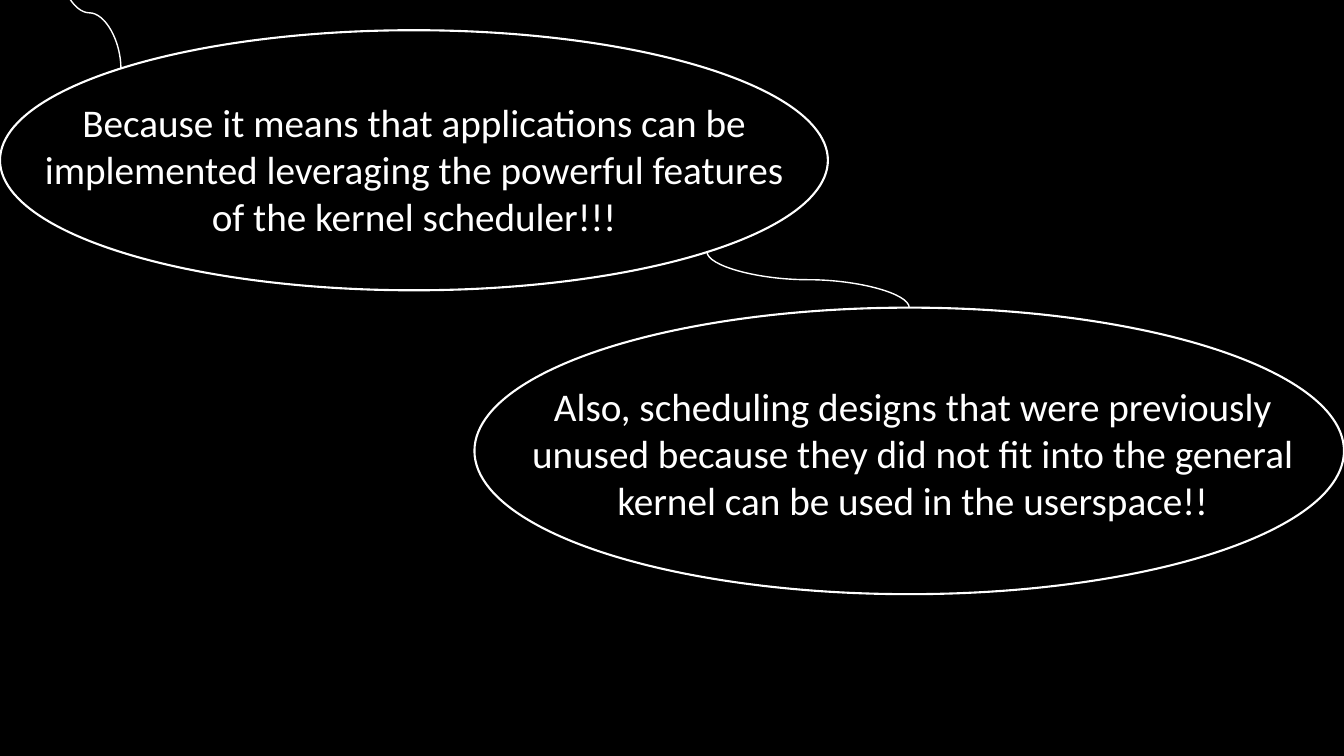
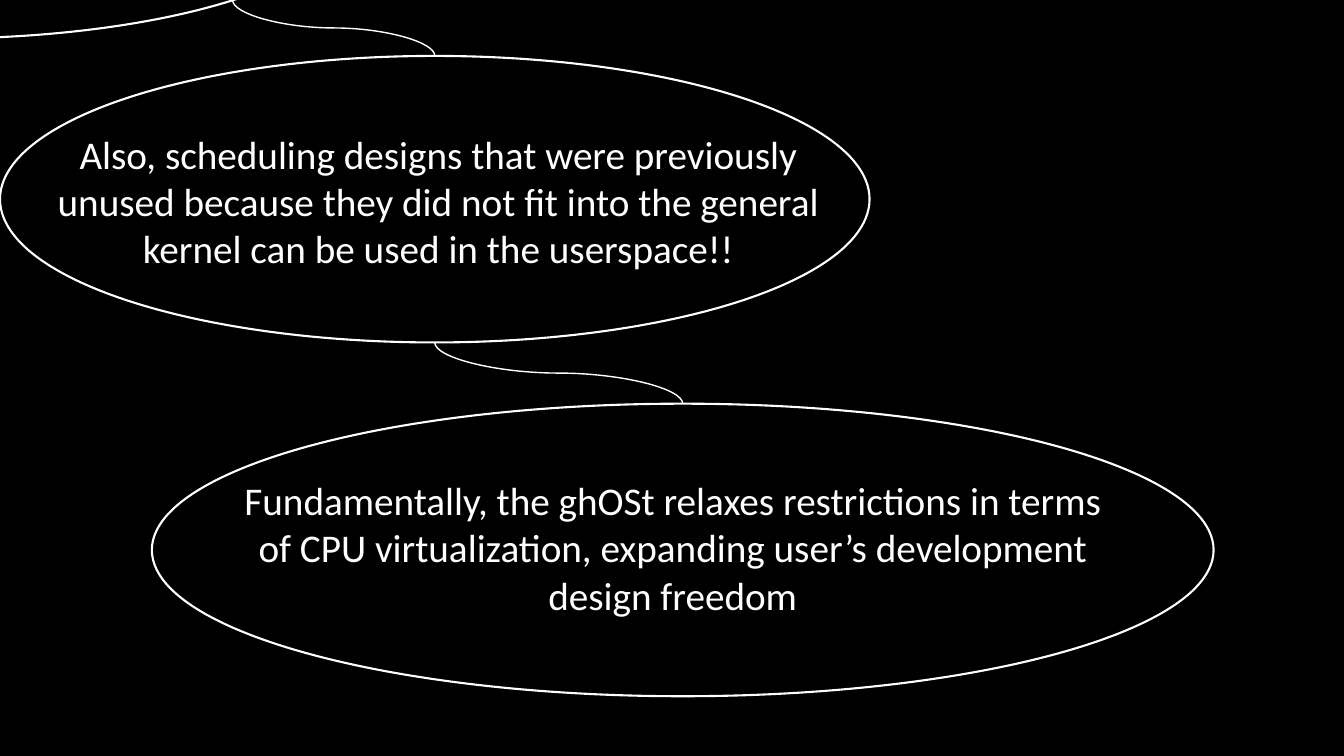
import collections

import pptx
import pptx.dml.color
import pptx.enum.shapes
import pptx.enum.text
import pptx.oxml.ns
import pptx.util
from lxml import etree

WIDTH, HEIGHT = pptx.util.Inches(13.333), pptx.util.Inches(7.5)
BLACK, WHITE = "000000", "FFFFFF"
FONT_FORMAT = {"name": "Calibri", "size": pptx.util.Pt(28)}
TEXT_HEIGHT = 20.1
QUARTER_TURN_BACK = str(270 * 60000)

# One large map of thoughts, in percent of the slide's width and height
Bubble = collections.namedtuple("Bubble", "left top width height text_left text_top text_width text")
POWERFUL = Bubble(0, 4, 61.6, 34.4, 1.2, 12.3, 59.2,
                  "Because it means that applications can be implemented leveraging "
                  "the powerful features of the kernel scheduler!!!")
UNUSED = Bubble(35.3, 40.7, 64.7, 37.9, 38.3, 49.9, 59.2,
                "Also, scheduling designs that were previously unused because they did "
                "not fit into the general kernel can be used in the userspace!!")
FREEDOM = Bubble(46.6, 86.7, 79, 38.7, 51.7, 95.7, 67.3,
                 "Fundamentally, the ghOSt relaxes restrictions in terms of CPU "
                 "virtualization, expanding user’s development design freedom")


def top_middle(bubble):
    return bubble.left + bubble.width / 2, bubble.top


def bottom_middle(bubble):
    return bubble.left + bubble.width / 2, bubble.top + bubble.height


LINK_TO_POWERFUL = ((4.3, -5.7), (9, 9.1))
LINK_TO_UNUSED = ((52.6, 33.3), top_middle(UNUSED))
LINK_TO_FREEDOM = (bottom_middle(UNUSED), top_middle(FREEDOM))

# Each slide shows the map from its own top left corner
VIEWS = [
    {"corner": (0, 0), "outlines": [POWERFUL, UNUSED], "captions": [POWERFUL, UNUSED],
     "links": [LINK_TO_POWERFUL, LINK_TO_UNUSED]},
    {"corner": (35.3, 33.3), "outlines": [POWERFUL, UNUSED, FREEDOM], "captions": [UNUSED, FREEDOM],
     "links": [LINK_TO_UNUSED, LINK_TO_FREEDOM]},
]


def color(hex_string):
    return pptx.dml.color.RGBColor.from_string(hex_string)


def across(percent):
    return round(WIDTH * percent / 100)


def down(percent):
    return round(HEIGHT * percent / 100)


def place(corner, left, top):
    return across(left - corner[0]), down(top - corner[1])


def set_line(shape, points):
    shape.line.color.rgb = color(WHITE)
    shape.line.width = pptx.util.Pt(points)


def add_outline(slide, corner, bubble):
    shape = slide.shapes.add_shape(
        pptx.enum.shapes.MSO_SHAPE.OVAL, *place(corner, bubble.left, bubble.top),
        across(bubble.width), down(bubble.height))
    shape.shadow.inherit = False
    shape.fill.background()
    set_line(shape, 1.5)


def add_caption(slide, corner, bubble):
    shape = slide.shapes.add_textbox(
        *place(corner, bubble.text_left, bubble.text_top),
        across(bubble.text_width), down(TEXT_HEIGHT))
    frame = shape.text_frame
    frame.word_wrap = True
    frame.auto_size = pptx.enum.text.MSO_AUTO_SIZE.SHAPE_TO_FIT_TEXT
    paragraph = frame.paragraphs[0]
    paragraph.alignment = pptx.enum.text.PP_ALIGN.CENTER
    run = paragraph.add_run()
    run.text = bubble.text
    for name, value in FONT_FORMAT.items():
        setattr(run.font, name, value)
    run.font.color.rgb = color(WHITE)


def add_link(slide, corner, link):
    """Draw a curve that leaves and arrives vertically."""
    (start_x, start_y), (end_x, end_y) = (place(corner, *point) for point in link)
    middle_x, middle_y = (start_x + end_x) // 2, (start_y + end_y) // 2
    # Before the quarter turn, width and height are swapped
    half_width, half_height = (end_y - start_y) // 2, (end_x - start_x) // 2
    connector = slide.shapes.add_connector(
        pptx.enum.shapes.MSO_CONNECTOR.CURVE,
        middle_x + half_width, middle_y - half_height,
        middle_x - half_width, middle_y + half_height)
    set_line(connector, 1)
    properties = connector._element.spPr
    properties.xfrm.set("rot", QUARTER_TURN_BACK)
    etree.SubElement(properties, pptx.oxml.ns.qn("a:effectLst"))


def main():
    presentation = pptx.Presentation()
    presentation.slide_width, presentation.slide_height = WIDTH, HEIGHT
    # Shared black background
    background = presentation.slide_master.background.fill
    background.solid()
    background.fore_color.rgb = color(BLACK)

    blank_layout = presentation.slide_layouts[6]
    for view in VIEWS:
        slide = presentation.slides.add_slide(blank_layout)
        for part, add_part in (("outlines", add_outline), ("captions", add_caption), ("links", add_link)):
            for element in view[part]:
                add_part(slide, view["corner"], element)
    presentation.save("out.pptx")


if __name__ == "__main__":
    main()
